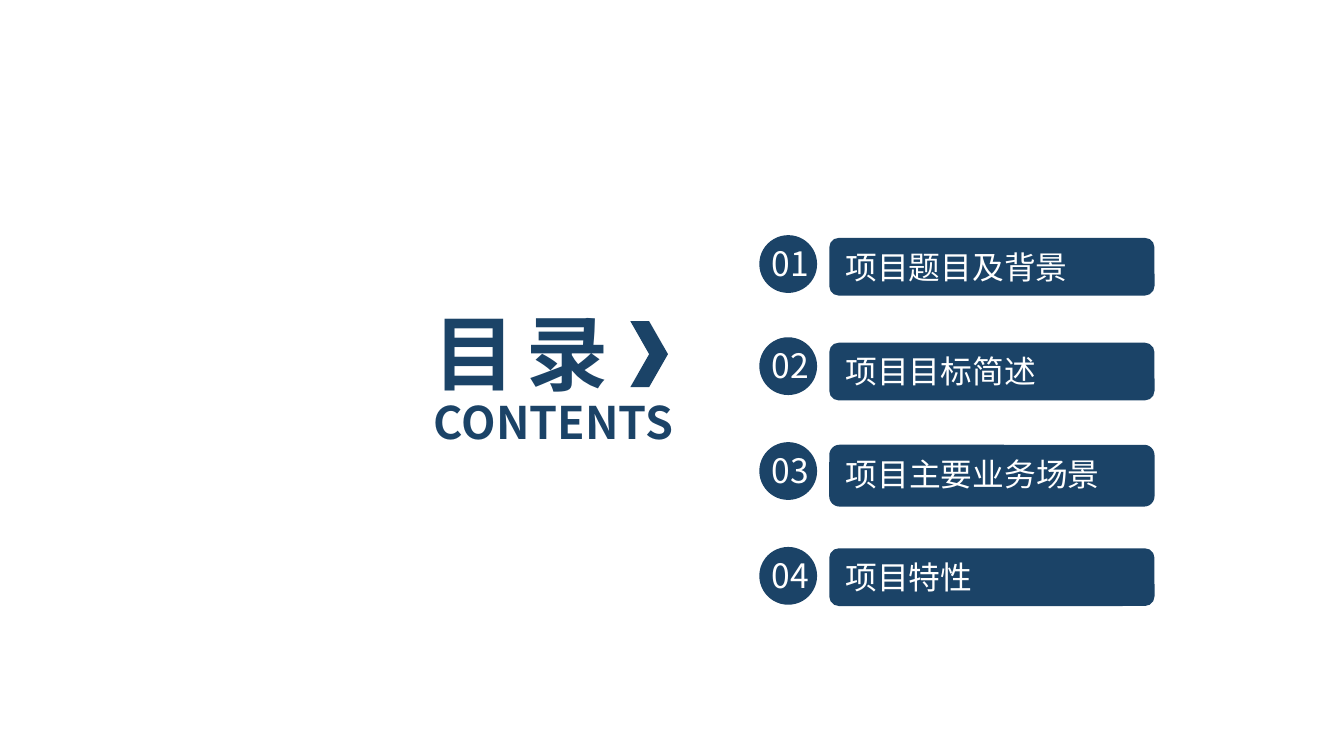
from dataclasses import dataclass

from pptx import Presentation
from pptx.dml.color import RGBColor
from pptx.enum.shapes import MSO_SHAPE as Shape
from pptx.enum.text import MSO_ANCHOR as Anchor, PP_ALIGN as Align
from pptx.util import Inches, Pt

COLORS = {"navy": "1B4367", "white": "FFFFFF"}
FONT = "Noto Sans CJK SC"
DISC = 0.43
BAR_LEFT, BAR_WIDTH = 6.17, 2.42


@dataclass
class Entry:
    title: str
    bar_top: float
    disc_top: float
    bar_height: float = 0.43


ENTRIES = [
    Entry("项目题目及背景", 1.77, 1.75),
    Entry("项目目标简述", 2.55, 2.51),
    Entry("项目主要业务场景", 3.31, 3.29, 0.46),
    Entry("项目特性", 4.08, 4.07),
]


def write(sp, text: str, size: float, color: str, bold: bool = False,
          align=Align.LEFT, anchor=Anchor.MIDDLE):
    tf = sp.text_frame
    tf.word_wrap = True
    tf.vertical_anchor = anchor
    p = tf.paragraphs[0]
    p.alignment = align
    r = p.add_run()
    r.text = text
    p.font.size = Pt(size)
    p.font.bold = bold
    p.font.color.rgb = RGBColor.from_string(COLORS[color])
    # Chinese text also needs the East Asian typeface
    r.font.name = FONT
    r_pr = r.font._element
    ea = r_pr.makeelement(r_pr.latin.tag.replace("latin", "ea"), {"typeface": FONT})
    r_pr.latin.addnext(ea)
    return r


def add_label(slide, left: float, top: float, width: float, height: float,
              text: str, size: float, color: str, **style):
    box = slide.shapes.add_textbox(
        Inches(left), Inches(top), Inches(width), Inches(height))
    return write(box, text, size, color, **style)


def add_solid(slide, kind, left: float, top: float, width: float, height: float):
    sp = slide.shapes.add_shape(
        kind, Inches(left), Inches(top), Inches(width), Inches(height))
    sp.shadow.inherit = False
    sp.fill.solid()
    sp.fill.fore_color.rgb = RGBColor.from_string(COLORS["navy"])
    sp.line.fill.background()
    return sp


def add_entry(slide, number: int, entry: Entry) -> None:
    bar = add_solid(slide, Shape.ROUNDED_RECTANGLE, BAR_LEFT, entry.bar_top,
                    BAR_WIDTH, entry.bar_height)
    write(bar, entry.title, 17, "white", anchor=Anchor.TOP)
    add_solid(slide, Shape.OVAL, 5.65, entry.disc_top, DISC, DISC)
    add_label(slide, 5.62, entry.disc_top + 0.01, 0.52, 0.4,
              f"{number:02d}", 18, "white", align=Align.CENTER)


def main() -> None:
    # Widescreen 16:9 page
    prs = Presentation()
    prs.slide_width = Inches(10)
    prs.slide_height = prs.slide_width * 9 // 16
    slide = prs.slides.add_slide(prs.slide_layouts[6])

    # Heading with chevron
    heading = add_label(slide, 3.13, 2.2, 2.35, 0.84, "目 录", 44, "navy", bold=True)
    heading.font._element.set("spc", "-220")
    add_label(slide, 3.13, 2.89, 2.31, 0.5, "CONTENTS", 24, "navy", bold=True)
    add_solid(slide, Shape.CHEVRON, 4.69, 2.39, 0.28, 0.49)

    # Numbered entries
    for number, entry in enumerate(ENTRIES, start=1):
        add_entry(slide, number, entry)

    prs.save("out.pptx")


if __name__ == "__main__":
    main()
